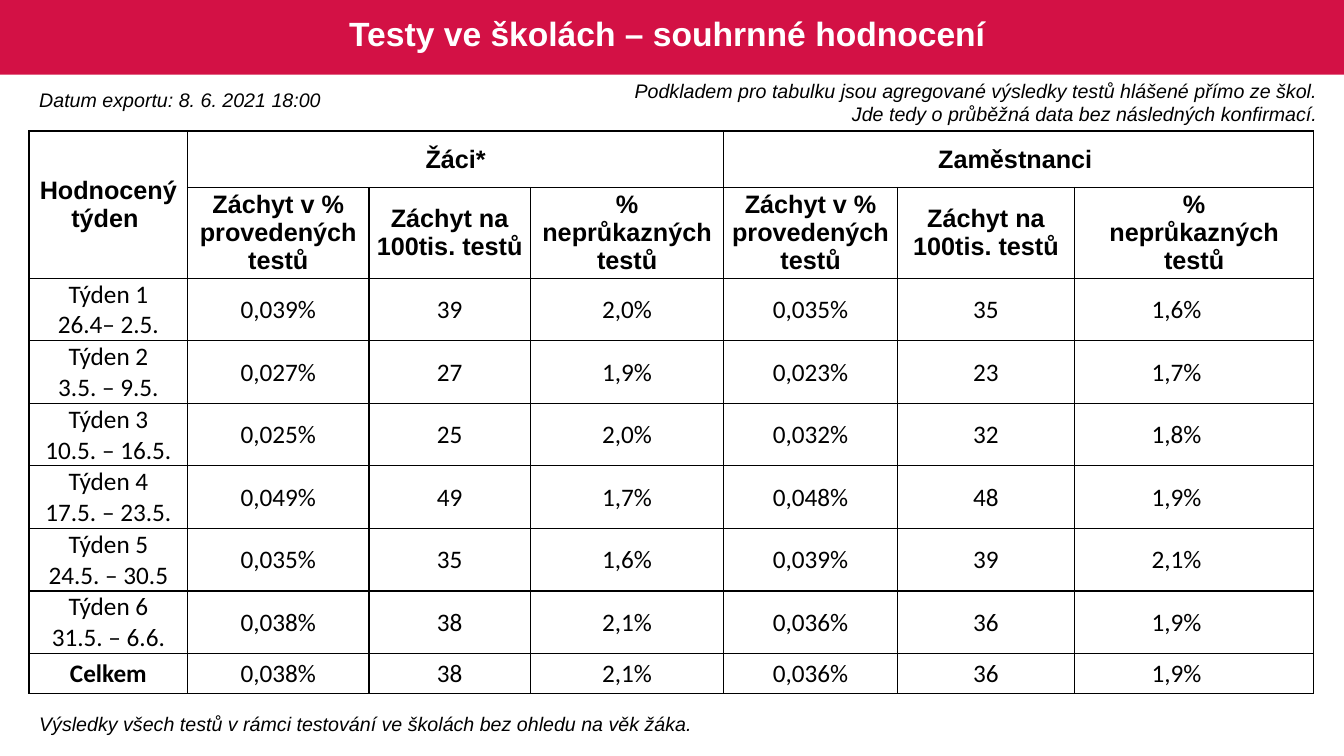
from lxml import etree
from pptx import Presentation
from pptx.dml.color import RGBColor
from pptx.enum.shapes import MSO_SHAPE
from pptx.enum.text import MSO_ANCHOR, PP_ALIGN
from pptx.oxml.ns import qn
from pptx.util import Inches, Pt

COLORS = {"banner": "D31145", "title": "FFFFFF", "text": "000000"}
COLUMN_WIDTHS = [1.57, 1.8, 1.6, 1.92, 1.72, 1.76, 2.02, 0.35]
ROW_HEIGHTS = [0.56, 0.9] + [0.62] * 6 + [0.4]

MEASURES = ["Záchyt v % provedených testů", "Záchyt na 100tis. testů"]
ROWS = [
    ["Hodnocený týden ", "Žáci*", "", "", "Zaměstnanci ", "", "", ""],
    ["", *MEASURES, "% neprůkazných testů", *MEASURES, "%\nneprůkazných testů", ""],
    ["Týden 1\n26.4– 2.5.", "0,039%", "39", "2,0%", "0,035%", "35", "1,6%", ""],
    ["Týden 2\n3.5. – 9.5.", "0,027%", "27", "1,9%", "0,023%", "23", "1,7%", ""],
    ["Týden 3\n10.5. – 16.5.", "0,025%", "25", "2,0%", "0,032%", "32", "1,8%", ""],
    ["Týden 4\n17.5. – 23.5.", "0,049%", "49", "1,7%", "0,048%", "48", "1,9%", ""],
    ["Týden 5\n24.5. – 30.5", "0,035%", "35", "1,6%", "0,039%", "39", "2,1%", ""],
    ["Týden 6\n31.5. – 6.6.", "0,038%", "38", "2,1%", "0,036%", "36", "1,9%", ""],
    ["Celkem", "0,038%", "38", "2,1%", "0,036%", "36", "1,9%", ""],
]
# First row, first column, last row, last column
MERGES = [(0, 0, 1, 0), (0, 1, 0, 3), (0, 4, 0, 7), (1, 6, 1, 7)]
# Text, left, top, width, height, alignment, wrap
NOTES = [
    ("Datum exportu: 8. 6. 2021 18:00", 0.29, 0.82, 3.01, 0.34, PP_ALIGN.LEFT, False),
    ("Výsledky všech testů v rámci testování ve školách bez ohledu na věk žáka.",
     0.29, 7.01, 12.67, 0.34, PP_ALIGN.LEFT, True),
    ("Podkladem pro tabulku jsou agregované výsledky testů hlášené přímo ze škol. \n"
     "Jde tedy o průběžná data bez následných konfirmací. ",
     5.7, 0.73, 7.52, 0.57, PP_ALIGN.RIGHT, True),
]


def write(text_frame, text, size=18, font="Arial", color="text", bold=False,
          italic=False, align=PP_ALIGN.CENTER, spacing=None):
    text_frame.text = text
    for paragraph in text_frame.paragraphs:
        paragraph.alignment = align
        paragraph.line_spacing = spacing
        for item in [paragraph, *paragraph.runs]:
            item.font.size = Pt(size)
            item.font.name = font
            item.font.bold = bold
            item.font.italic = italic
            item.font.color.rgb = RGBColor.from_string(COLORS[color])


def set_borders(cell, widths):
    """Draw the left, right, top and bottom lines; a width of 0 hides one."""
    properties = cell._tc.get_or_add_tcPr()
    for side, width in zip("LRTB", widths):
        line = etree.SubElement(properties, qn(f"a:ln{side}"), w=str(Pt(width)))
        if width:
            fill = etree.SubElement(line, qn("a:solidFill"))
            etree.SubElement(fill, qn("a:srgbClr"), val=COLORS["text"])
        else:
            etree.SubElement(line, qn("a:noFill"))


presentation = Presentation()
presentation.slide_width = Inches(13.33)
presentation.slide_height = Inches(7.5)
slide = presentation.slides.add_slide(presentation.slide_layouts[5])

# Title on its banner
banner = slide.shapes.add_shape(
    MSO_SHAPE.RECTANGLE, 0, 0, presentation.slide_width, Inches(0.74))
banner.shadow.inherit = False
banner.fill.solid()
banner.fill.fore_color.rgb = RGBColor.from_string(COLORS["banner"])
banner.line.fill.background()

title = slide.shapes.title
title.left, title.top = Inches(0.18), Inches(0.04)
title.width, title.height = Inches(12.97), Inches(0.63)
title.text_frame.vertical_anchor = MSO_ANCHOR.MIDDLE
write(title.text_frame, "Testy ve školách – souhrnné hodnocení ", size=24,
      color="title", bold=True, spacing=0.9)
title.element.addprevious(banner.element)

# Table of results
table = slide.shapes.add_table(
    len(ROWS), len(COLUMN_WIDTHS), Inches(0.29), Inches(1.3),
    Inches(sum(COLUMN_WIDTHS)), Inches(sum(ROW_HEIGHTS))).table
table.horz_banding = False
table.first_row = False
for column, width in zip(table.columns, COLUMN_WIDTHS):
    column.width = Inches(width)
for row, height in zip(table.rows, ROW_HEIGHTS):
    row.height = Inches(height)
for top, left, bottom, right in MERGES:
    table.cell(top, left).merge(table.cell(bottom, right))

last_column = len(COLUMN_WIDTHS) - 1
for row_index, row in enumerate(ROWS):
    is_header = row_index < 2
    for column_index, text in enumerate(row):
        cell = table.cell(row_index, column_index)
        cell.vertical_anchor = MSO_ANCHOR.MIDDLE
        cell.margin_left = cell.margin_right = Inches(0.05 if is_header else 0.01)
        cell.margin_top = Inches(0 if is_header else 0.01)
        cell.margin_bottom = 0
        left = 1.5 if column_index == 0 else 1
        right = 1
        if not is_header:
            left = 0 if column_index == last_column else left
            right = 0 if column_index == last_column - 1 else right
        set_borders(cell, (left, right, 1.5 if row_index == 0 else 1, 1))
        cell.fill.background()
        write(cell.text_frame, text, font="Arial" if is_header else "Calibri",
              bold=is_header or text == "Celkem")

# Notes around the table
for text, left, top, width, height, align, wrap in NOTES:
    note = slide.shapes.add_textbox(
        Inches(left), Inches(top), Inches(width), Inches(height))
    note.text_frame.word_wrap = wrap
    write(note.text_frame, text, size=14, italic=True, align=align)

presentation.save("out.pptx")
